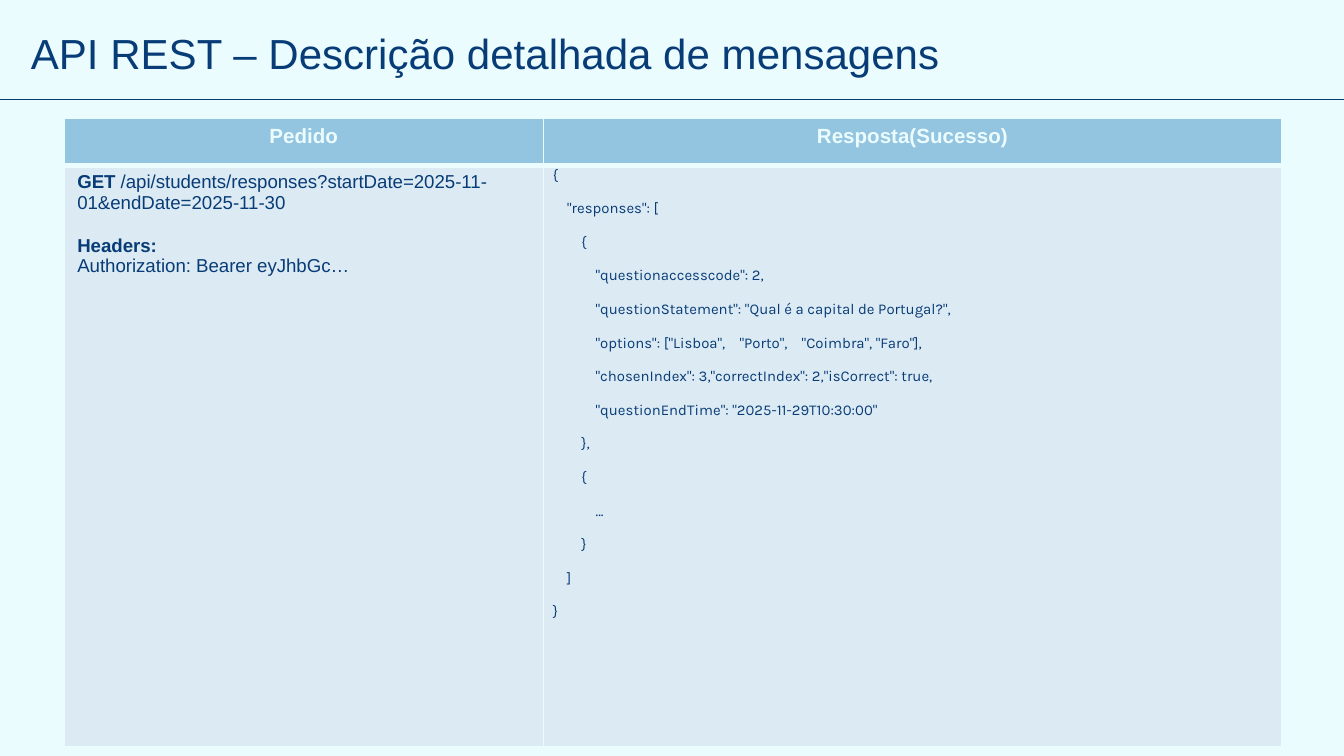
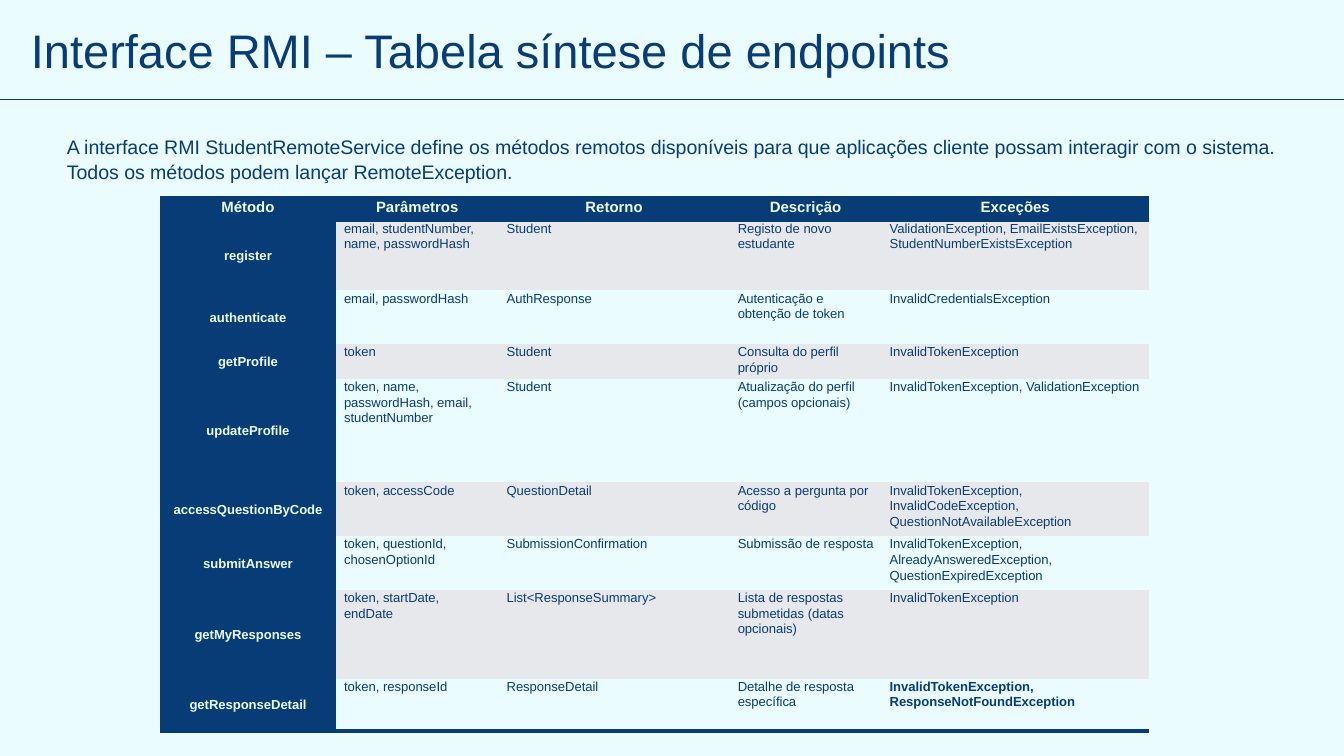
import pptx
import pptx.dml.color
import pptx.enum.text
import pptx.oxml
import pptx.oxml.ns
import pptx.util

Pt = pptx.util.Pt
PP_ALIGN = pptx.enum.text.PP_ALIGN
ANCHOR = pptx.enum.text.MSO_ANCHOR
AUTO_SIZE = pptx.enum.text.MSO_AUTO_SIZE

# Shared style
NAVY, ICE, SKY, MIST, GREY = "083C77", "EBFCFF", "93C4E0", "DCEAF3", "E7E8EC"
COLS, ROWS = 100, 56.25
PLAIN_TABLE = "{2D5ABB26-0587-4C30-8999-92F81FD0307C}"
SPACED = {"line_spacing": 1.07, "space_after": Pt(8)}
CENTRED = {"alignment": PP_ALIGN.CENTER}


def color(value):
    return pptx.dml.color.RGBColor.from_string(value)


def apply(target, formats):
    for name, value in formats.items():
        setattr(target, name, value)


class Deck:
    def __init__(self):
        self.prs = pptx.Presentation()
        self.prs.slide_width = pptx.util.Inches(10)
        self.prs.slide_height = pptx.util.Inches(5.625)
        fill = self.prs.slide_master.background.fill
        fill.solid()
        fill.fore_color.rgb = color(ICE)
        self.s = None

    def x(self, cols):
        return round(self.prs.slide_width * cols / COLS)

    def y(self, rows):
        return round(self.prs.slide_height * rows / ROWS)

    def box(self, left, top, width, height):
        return self.x(left), self.y(top), self.x(width), self.y(height)

    def slide(self, title, size):
        """Start a slide with its title and the rule below it."""
        self.s = self.prs.slides.add_slide(self.prs.slide_layouts[5])
        sp = self.s.shapes.title
        apply(sp, dict(zip(("left", "top", "width", "height"),
                           self.box(1.3, 1.9, 95, 4.9))))
        tf = sp.text_frame
        apply(tf, {"word_wrap": True, "auto_size": AUTO_SIZE.NONE,
                   "vertical_anchor": ANCHOR.BOTTOM})
        apply(tf, {f"margin_{side}": self.x(1)
                   for side in ("left", "top", "right", "bottom")})
        self.text(tf, [title], size, para={"alignment": PP_ALIGN.LEFT})
        self.rule(7.4)

    def rule(self, row):
        line = self.s.shapes.add_connector(
            1, 0, self.y(row), self.x(COLS), self.y(row))
        line.line.color.rgb = color(NAVY)
        line.line.width = Pt(0.75)
        line._element.spPr.append(pptx.oxml.parse_xml(
            f"<a:effectLst {pptx.oxml.ns.nsdecls('a')}/>"))

    def text(self, tf, paragraphs, size, ink=NAVY, face="Arial",
             bold=False, para=None):
        """Write paragraphs, each a string or a list of (text, bold) runs."""
        for i, runs in enumerate(paragraphs):
            p = tf.paragraphs[0] if i == 0 else tf.add_paragraph()
            apply(p, para or {})
            for words, weight in [(runs, bold)] if isinstance(runs, str) else runs:
                r = p.add_run()
                r.text = words
                apply(r.font, {"size": Pt(size), "name": face, "bold": weight})
                r.font.color.rgb = color(ink)

    def text_box(self, at, words, size):
        tf = self.s.shapes.add_textbox(*self.box(*at)).text_frame
        apply(tf, {"word_wrap": True, "auto_size": AUTO_SIZE.SHAPE_TO_FIT_TEXT})
        self.text(tf, [words], size, para=SPACED)

    def table(self, left, top, widths, heights):
        frame = self.s.shapes.add_table(
            len(heights), len(widths),
            *self.box(left, top, sum(widths), sum(heights)))
        table = frame.table
        apply(table, {"first_row": True, "horz_banding": False})
        table._tbl.tblPr.find(pptx.oxml.ns.qn("a:tableStyleId")).text = PLAIN_TABLE
        for column, width in zip(table.columns, widths):
            column.width = self.x(width)
        for row, height in zip(table.rows, heights):
            row.height = self.y(height)
        return table

    def cell(self, cell, paragraphs, size, fill, borders=None, side=None,
             anchor=ANCHOR.TOP, **style):
        """Fill one cell; borders maps L, R, T, B to (colour, points)."""
        cell.fill.solid()
        cell.fill.fore_color.rgb = color(fill)
        cell.vertical_anchor = anchor
        if side is not None:
            apply(cell, {"margin_left": self.x(side), "margin_right": self.x(side),
                         "margin_top": 0, "margin_bottom": 0})
        edges = [edge for edge in "LRTB" if edge in (borders or {})]
        for i, edge in enumerate(edges):
            ink, width = borders[edge]
            cell._tc.get_or_add_tcPr().insert(i, pptx.oxml.parse_xml(
                f'<a:ln{edge} {pptx.oxml.ns.nsdecls("a")} w="{Pt(width)}">'
                f'<a:solidFill><a:srgbClr val="{ink}"/></a:solidFill></a:ln{edge}>'))
        self.text(cell.text_frame, paragraphs, size, **style)


REQUEST = [
    [("GET ", True),
     ("/api/students/responses?startDate=2025-11-01&endDate=2025-11-30", False)],
    [("Headers:", True)],
    "Authorization: Bearer eyJhbGc…",
]
RESPONSE = """{
    "responses": [
        {
            "questionaccesscode": 2,
            "questionStatement": "Qual é a capital de Portugal?",
            "options": ["Lisboa",    "Porto",    "Coimbra", "Faro"],
            "chosenIndex": 3,"correctIndex": 2,"isCorrect": true,
            "questionEndTime": "2025-11-29T10:30:00"
        },
        {
            ...
        }
    ]
}""".splitlines()

METHODS = [
    ("Método", "Parâmetros", "Retorno", "Descrição", "Exceções"),
    ("register", "email, studentNumber, name, passwordHash", "Student",
     "Registo de novo estudante",
     "ValidationException, EmailExistsException, StudentNumberExistsException"),
    ("authenticate", "email, passwordHash", "AuthResponse",
     "Autenticação e obtenção de token", "InvalidCredentialsException"),
    ("getProfile", "token", "Student", "Consulta do perfil próprio",
     "InvalidTokenException"),
    ("updateProfile", "token, name, passwordHash, email, studentNumber", "Student",
     "Atualização do perfil (campos opcionais)",
     "InvalidTokenException, ValidationException"),
    ("accessQuestionByCode", "token, accessCode", "QuestionDetail",
     "Acesso a pergunta por código",
     "InvalidTokenException, InvalidCodeException, QuestionNotAvailableException"),
    ("submitAnswer", "token, questionId, chosenOptionId", "SubmissionConfirmation",
     "Submissão de resposta",
     "InvalidTokenException, AlreadyAnsweredException, QuestionExpiredException"),
    ("getMyResponses", "token, startDate, endDate", "List<ResponseSummary>",
     "Lista de respostas submetidas (datas opcionais)", "InvalidTokenException"),
    ("getResponseDetail", "token, responseId", "ResponseDetail",
     "Detalhe de resposta específica",
     "InvalidTokenException, ResponseNotFoundException"),
]


def message_slide(deck):
    deck.slide("API REST – Descrição detalhada de mensagens", 22.5)
    table = deck.table(4.75, 8.8, [35.7, 54.9], [3.5, 43.3])
    thin, thick = (ICE, 1), (ICE, 3)
    head = {"L": thin, "R": thin, "T": thin, "B": thick}
    body = {"L": thin, "R": thin, "T": thick, "B": thin}

    # Header row
    for i, label in enumerate(("Pedido", "Resposta(Sucesso)")):
        deck.cell(table.cell(0, i), [label], 11, SKY, head,
                  ink=ICE, bold=True, para=CENTRED)

    # Request and response
    request = table.cell(1, 0)
    deck.cell(request, REQUEST, 10, MIST, body)
    request.text_frame.paragraphs[1].space_before = Pt(11.5)
    deck.cell(table.cell(1, 1), RESPONSE, 8, MIST, body, side=0.7,
              face="Karla", para=SPACED)


def endpoints_slide(deck):
    deck.slide("Interface RMI – Tabela síntese de endpoints", 25.2)
    deck.text_box(
        (4, 9.4, 92.3, 4.7),
        "A interface RMI StudentRemoteService define os métodos remotos disponíveis "
        "para que aplicações cliente possam interagir com o sistema. "
        "Todos os métodos podem lançar RemoteException.", 10.5)

    # Method table: navy header row and first column, banded body
    table = deck.table(11.9, 14.7, [13.1, 12.1, 17.2, 11.3, 19.9],
                       [1.7, 5.2, 4, 2.6, 7.7, 4, 4, 6.6, 3.9])
    edge, last = (NAVY, 2), len(METHODS) - 1
    for i, row in enumerate(METHODS):
        borders = {0: {"T": edge, "B": edge}, last: {"B": edge}}.get(i)
        for j, words in enumerate(row):
            label = i == 0 or j == 0
            corner = (i, j) == (last, len(row) - 1)
            deck.cell(
                table.cell(i, j), [words], 7 if i else 8,
                NAVY if label else GREY if i % 2 else ICE, borders, side=0.6,
                anchor=ANCHOR.MIDDLE if i and j == 0 else ANCHOR.TOP,
                ink=ICE if label else NAVY, bold=label or corner,
                para={**SPACED, **(CENTRED if label else {})})


def main():
    deck = Deck()
    message_slide(deck)
    endpoints_slide(deck)
    deck.prs.save("out.pptx")


if __name__ == "__main__":
    main()
